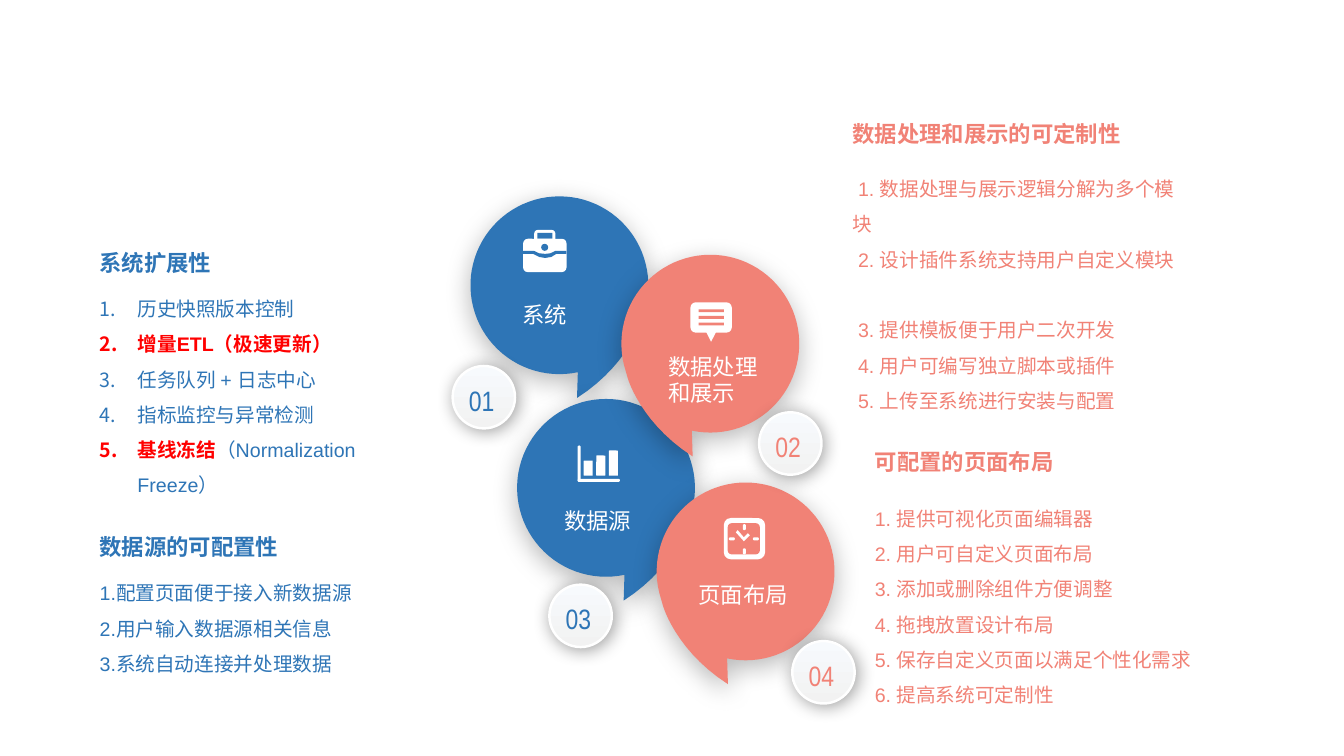
from math import cos, radians, sin

from lxml.etree import SubElement
from pptx import Presentation
from pptx.dml.color import RGBColor
from pptx.enum.shapes import MSO_SHAPE
from pptx.enum.text import MSO_ANCHOR, PP_ALIGN
from pptx.oxml.ns import qn
from pptx.util import Pt

BLUE, PINK, WHITE, RED = "2E75B6", "F18276", "FFFFFF", "FF0000"
CJK = "Noto Sans CJK SC"
color = RGBColor.from_string

deck = Presentation()
deck.slide_width, deck.slide_height = Pt(960), Pt(540)
page = deck.slides.add_slide(deck.slide_layouts[6])


def finish(shape, fill, shadow=None):
    """Fill a borderless shape; shadow is opacity %, blur, distance, angle."""
    shape.shadow.inherit = False
    shape.line.fill.background()
    shape.fill.solid()
    shape.fill.fore_color.rgb = color(fill)
    if shadow:
        opacity, blur, distance, angle = shadow
        effects = shape.element.spPr.find(qn("a:effectLst"))
        outer = SubElement(effects, qn("a:outerShdw"), blurRad=str(Pt(blur)),
                           dist=str(Pt(distance)), dir=str(angle * 60000),
                           algn="ctr", rotWithShape="0")
        black = SubElement(outer, qn("a:srgbClr"), val="000000")
        SubElement(black, qn("a:alpha"), val=str(opacity * 1000))


def write(frame, lines, size, font, ink, bold=False, spacing=None, numbered=False):
    for index, line in enumerate(lines):
        para = frame.paragraphs[0] if index == 0 else frame.add_paragraph()
        para.text = line
        if numbered:
            properties = para._p.get_or_add_pPr()
            properties.set("marL", str(Pt(27)))
            properties.set("indent", str(-Pt(27)))
            SubElement(properties, qn("a:buFont"), typeface="+mj-lt")
            SubElement(properties, qn("a:buAutoNum"), type="arabicPeriod")
        if spacing:
            para.line_spacing = spacing
        para.font.size, para.font.name, para.font.bold = Pt(size), font, bold
        para.font.color.rgb = color(ink)


# Speech bubbles: a circle with a curved tail, to the right (1) or left (-1)
outlines = []
tail = [(59, 24.5), (56.2, 33.8), (43.9, 60.5), (12.6, 80.5)]
circle = [(63.5 * cos(radians(a)), 63.5 * sin(radians(a))) for a in range(78, 382, 4)]
curve = []
for step in range(13):
    t = step / 12
    weights = ((1 - t) ** 3, 3 * t * (1 - t) ** 2, 3 * t * t * (1 - t), t ** 3)
    curve.append(tuple(sum(w * p[axis] for w, p in zip(weights, tail)) for axis in (0, 1)))
for x, y, side, fill in [(399.6, 203.8, 1, BLUE), (432.9, 348.5, 1, BLUE),
                         (532.6, 408.2, -1, PINK), (507.4, 245.5, -1, PINK)]:
    points = [(x + side * dx, y + dy) for dx, dy in circle + curve]
    outlines.append((points, fill, (28, 19, 5, 90)))

# Briefcase flap and clock hands, drawn on top of their icons
flap = [(373.7, 179.3), (381.6, 179.3), (385.2, 181), (389.5, 181.4), (393.1, 181),
        (396.7, 179.3), (404.6, 179.3), (404.6, 181.4), (397.4, 181.4), (393.8, 183.6),
        (389.5, 184.3), (385.2, 183.6), (380.9, 181.4), (373.7, 181.4)]
hands = [(527, 378.7), (531.4, 383.8), (534.2, 380.9), (535.7, 382.3),
         (531.4, 386.6), (525.6, 380.2)]

# Icon parts: preset, left, top, width, height, fill, corner
ROUND, RECT = MSO_SHAPE.ROUNDED_RECTANGLE, MSO_SHAPE.RECTANGLE
briefcase = [(ROUND, 381.6, 164.2, 15.1, 10, WHITE, 0.25),
             (RECT, 383.8, 166.4, 10.8, 4.2, BLUE, None),
             (ROUND, 373.7, 170.6, 31, 23.8, WHITE, 0.14),
             (MSO_SHAPE.OVAL, 386.6, 174.2, 5, 5, BLUE, None)]
message = [(ROUND, 493.2, 216, 29.5, 21.6, WHITE, 0.17),
           (MSO_SHAPE.FLOWCHART_MERGE, 504, 236.2, 7.9, 7.9, WHITE, None)]
message += [(RECT, 499, 221 + 4.7 * i, 18, 2, PINK, None) for i in range(3)]
bars = [(ROUND, 416.9 + 9 * i, 329 - 3.6 * i, 6.5, 10.8 + 3.6 * i, WHITE, 0.06)
        for i in range(3)]
bars += [(ROUND, 412.6, 318.2, 2.2, 26, WHITE, 0.5),
         (ROUND, 412.6, 342, 30.2, 2.2, WHITE, 0.5)]
clock = [(ROUND, 517, 370, 29.5, 29.5, WHITE, 0.17),
         (ROUND, 519.8, 373.7, 23, 22.3, PINK, 0.13)]
clock += [(ROUND, 530.6, y, 2.2, 4.3, WHITE, 0.5) for y in (374.4, 391.7)]
clock += [(ROUND, x, 383.8, 4.3, 2.2, WHITE, 0.5) for x in (520.6, 537.8)]

for group in (outlines, briefcase + message + bars + clock,
              [(flap, BLUE, None), (hands, WHITE, None)]):
    for part in group:
        if len(part) == 3:
            points, fill, shadow = part
            corners = [(Pt(x), Pt(y)) for x, y in points]
            builder = page.shapes.build_freeform(*corners[0])
            builder.add_line_segments(corners[1:], close=True)
            finish(builder.convert_to_shape(), fill, shadow)
        else:
            preset, *place, fill, corner = part
            piece = page.shapes.add_shape(preset, *map(Pt, place))
            if corner is not None:
                piece.adjustments[0] = corner
            finish(piece, fill)

for label, *place in [("系统", 365.8, 211.7, 46.8, 26.6),
                      ("数据处理和展示", 470.2, 248.4, 93.6, 46),
                      ("数据源", 396, 358.6, 63.4, 26.6),
                      ("页面布局", 491.8, 411.8, 79.2, 26.6)]:
    box = page.shapes.add_textbox(*map(Pt, place))
    box.text_frame.word_wrap = len(label) > 4
    write(box.text_frame, [label], 16, CJK, WHITE)

# Number badges
for number, x, y, ink in [("01", 323.3, 261.4, BLUE), ("02", 542.2, 294.5, PINK),
                          ("03", 392.4, 417.6, BLUE), ("04", 565.9, 457.9, PINK)]:
    badge = page.shapes.add_shape(MSO_SHAPE.OVAL, Pt(x), Pt(y), Pt(44.6), Pt(44.6))
    finish(badge, WHITE, (39, 13, 2, 45))
    badge.fill.gradient()
    badge.fill.gradient_angle = 270
    for stop, shade, position in zip(badge.fill.gradient_stops, ("F7FAFD", "F2F2F2"), (0, 1)):
        stop.color.rgb = color(shade)
        stop.position = position
    badge.line.color.rgb = color(WHITE)
    badge.line.width = Pt(1.75)
    frame = badge.text_frame
    frame.word_wrap = False
    frame.vertical_anchor = MSO_ANCHOR.MIDDLE
    frame.margin_left = frame.margin_bottom = 0
    frame.margin_right, frame.margin_top = Pt(3), Pt(4)
    write(frame, [number], 20, "Arial Narrow", ink)
    frame.paragraphs[0].alignment = PP_ALIGN.CENTER

# Each section: heading and its place, list place, colour, list lines
sections = [
    ("系统扩展性", (64.1, 174.2, 141, 26.6), (64.1, 200.2, 254.9, 131.8), BLUE,
     ["历史快照版本控制", "增量ETL（极速更新）", "任务队列 + 日志中心",
      "指标监控与异常检测", "基线冻结"]),
    ("数据源的可配置性", (64.1, 377.3, 145.4, 26.6), (64.1, 403.2, 250.6, 80.6), BLUE,
     ["1.配置页面便于接入新数据源", "2.用户输入数据源相关信息", "3.系统自动连接并处理数据"]),
    ("数据处理和展示的可定制性", (601.9, 82.1, 214.6, 26.6), (601.9, 114.5, 248.4, 181.4), PINK,
     ["1. 数据处理与展示逻辑分解为多个模块", "2. 设计插件系统支持用户自定义模块",
      "3. 提供模板便于用户二次开发", "4. 用户可编写独立脚本或插件",
      "5. 上传至系统进行安装与配置"]),
    ("可配置的页面布局", (617.8, 316.8, 154.1, 26.6), (617.8, 349.9, 264.2, 157), PINK,
     ["1. 提供可视化页面编辑器", "2. 用户可自定义页面布局", "3. 添加或删除组件方便调整",
      "4. 拖拽放置设计布局", "5. 保存自定义页面以满足个性化需求", "6. 提高系统可定制性"]),
]
lists = {}
for heading, heading_place, list_place, ink, lines in sections:
    title = page.shapes.add_textbox(*map(Pt, heading_place)).text_frame
    title.word_wrap = True
    write(title, [heading], 16, CJK, ink, bold=True)
    body = page.shapes.add_textbox(*map(Pt, list_place)).text_frame
    body.word_wrap = True
    write(body, lines, 14, "Arial", ink, spacing=1.5, numbered=heading == "系统扩展性")
    lists[heading] = body.paragraphs

features = lists["系统扩展性"]
features[4].add_run().text = "（Normalization Freeze）"
for para in (features[1], features[4]):
    span = para.runs[0]
    span.font.bold = True
    span.font.color.rgb = color(RED)

custom = lists["数据处理和展示的可定制性"]
for para in custom:
    para._p.get_or_add_pPr().set("indent", str(Pt(3.9)))
custom[1].space_after = Pt(25.3)

deck.save("out.pptx")
